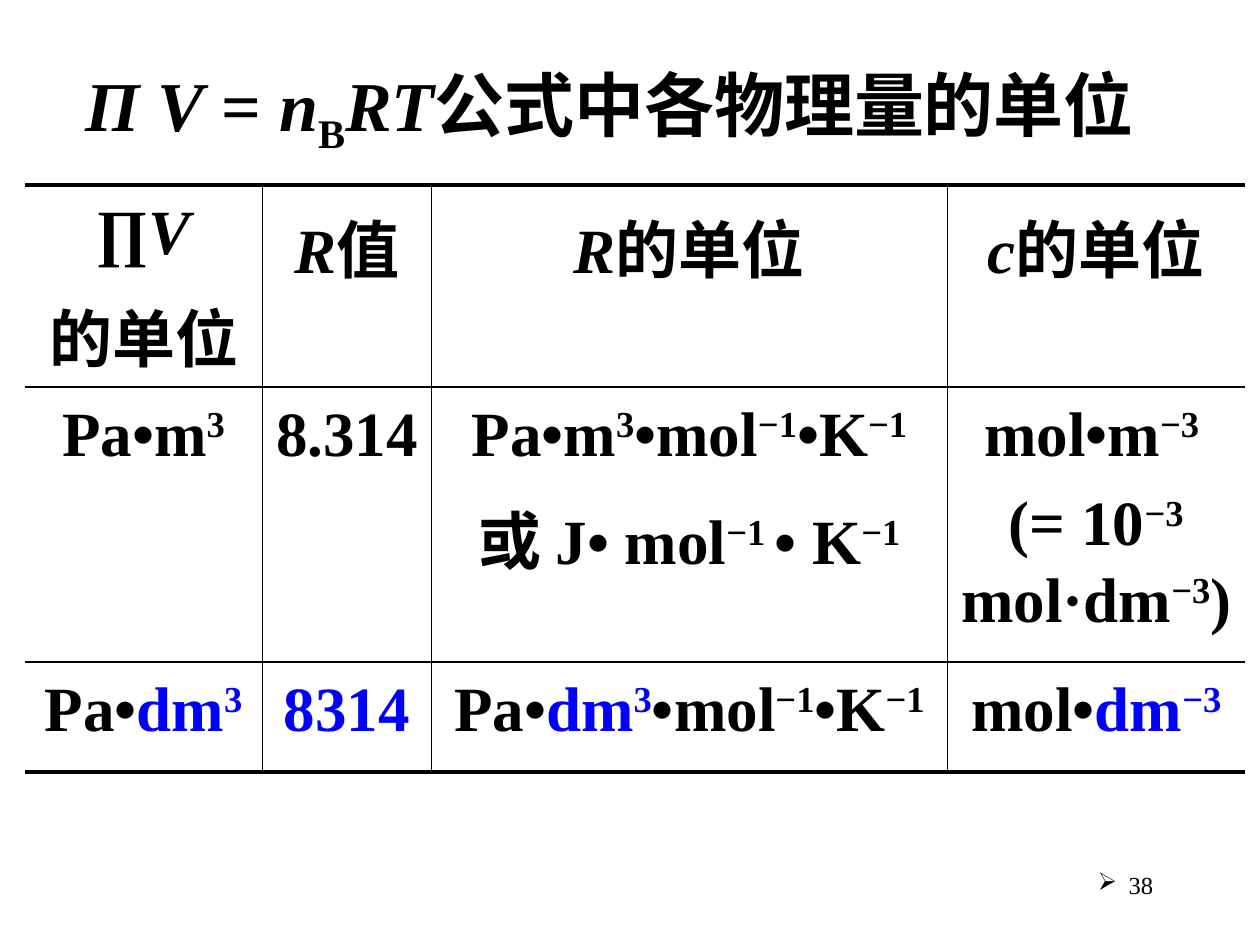
"""Build the slide on the units used in the osmotic pressure formula."""
import pptx
import pptx.dml.color
import pptx.enum.text
import pptx.oxml
import pptx.oxml.ns
import pptx.util

Pt = pptx.util.Pt
ALIGN = pptx.enum.text.PP_ALIGN
ANCHOR = pptx.enum.text.MSO_ANCHOR
FONT, BLACK, BLUE, WHITE = "Times New Roman", "000000", "0000FF", "FFFFFF"
BASELINES = {"^": "30000", "_": "-25000"}

# Run styles: i italic, ^ superscript, _ subscript, b blue
TITLE = [("Π V", "i"), (" = ", ""), ("n", "i"), ("B", "_"), ("RT", "i"),
         ("公式中各物理量的单位", "")]
PER_MOL_K = [("•mol", ""), ("−1", "^"), ("•K", ""), ("−1", "^")]
ROWS = [
    [
        [[("∏V", "i")], [("的单位", "")]],
        [[("R", "i"), ("值", "")]],
        [[("R", "i"), ("的单位", "")]],
        [[("c", "i"), ("的单位", "")]],
    ],
    [
        [[("Pa•m", ""), ("3", "^")]],
        [[("8.314", "")]],
        [[("Pa•m", ""), ("3", "^")] + PER_MOL_K,
         [("或 J• mol", ""), ("−1 ", "^"), ("• K", ""), ("−1", "^")]],
        [[("mol•m", ""), ("−3 ", "^")],
         [("(= 10", ""), ("−3", "^"), (" mol·dm", ""), ("−3", "^"), (")", "")]],
    ],
    [
        [[("Pa•", ""), ("dm", "b"), ("3", "b^")]],
        [[("8314", "b")]],
        [[("Pa•", ""), ("dm", "b"), ("3", "b^")] + PER_MOL_K],
        [[("mol•", ""), ("dm", "b"), ("−3", "b^")]],
    ],
]
COL_WIDTHS = [136, 96.5, 295, 170]
ROW_HEIGHTS = [109, 157, 63]


def rgb(value):
    return pptx.dml.color.RGBColor.from_string(value)


def write(p, runs, size, bold=True, align=ALIGN.CENTER):
    p.alignment = align
    p.font.name, p.font.size, p.font.bold = FONT, Pt(size), bold
    p.font.color.rgb = rgb(BLACK)
    for text, style in runs:
        r = p.add_run()
        r.text = text
        if "i" in style:
            r.font.italic = True
        if "b" in style:
            r.font.color.rgb = rgb(BLUE)
        for mark, baseline in BASELINES.items():
            if mark in style:
                r._r.get_or_add_rPr().set("baseline", baseline)


def element(xml):
    name, rest = xml.split(" ", 1)
    return pptx.oxml.parse_xml(f"<a:{name} {pptx.oxml.ns.nsdecls('a')} {rest}")


def set_borders(cell, widths):
    tc_pr = cell._tc.get_or_add_tcPr()
    for i, (side, width) in enumerate(zip("LRTB", widths)):
        fill = f'<a:solidFill><a:srgbClr val="{BLACK}"/></a:solidFill>' if width else "<a:noFill/>"
        tc_pr.insert(i, element(f'ln{side} w="{Pt(width)}">{fill}</a:ln{side}>'))


def add_title(slide):
    sp = slide.shapes.title
    sp.left, sp.top, sp.width, sp.height = Pt(19.5), Pt(34.5), Pt(658), Pt(55.5)
    tf = sp.text_frame
    tf.word_wrap = True
    tf.auto_size = pptx.enum.text.MSO_AUTO_SIZE.NONE
    tf.vertical_anchor = ANCHOR.MIDDLE
    write(tf.paragraphs[0], TITLE, 40)


def add_units_table(slide):
    last_row, last_col = len(ROWS) - 1, len(COL_WIDTHS) - 1
    table = slide.shapes.add_table(
        len(ROWS), len(COL_WIDTHS), Pt(14), Pt(105.75),
        Pt(sum(COL_WIDTHS)), Pt(sum(ROW_HEIGHTS))).table
    for column, width in zip(table.columns, COL_WIDTHS):
        column.width = Pt(width)
    for i, (row, height) in enumerate(zip(ROWS, ROW_HEIGHTS)):
        table.rows[i].height = Pt(height)
        for j, paragraphs in enumerate(row):
            cell = table.cell(i, j)
            cell.fill.solid()
            cell.fill.fore_color.rgb = rgb(WHITE)
            set_borders(cell, (1 if j else 0, 1 if j < last_col else 0,
                               1 if i else 2.25, 1 if i < last_row else 2.25))
            tf = cell.text_frame
            for k, runs in enumerate(paragraphs):
                p = tf.add_paragraph() if k else tf.paragraphs[0]
                p.line_spacing = 1.1
                p._p.get_or_add_pPr().insert(
                    1, element('spcBef ><a:spcPct val="20000"/></a:spcBef>'))
                write(p, runs, 36)


def add_page_number(slide):
    sp = slide.shapes.add_textbox(Pt(516), Pt(493.75), Pt(150), Pt(36))
    tf = sp.text_frame
    tf.word_wrap = True
    p = tf.paragraphs[0]
    write(p, [("38", "")], 14, bold=False, align=ALIGN.RIGHT)
    p_pr = p._p.get_or_add_pPr()
    p_pr.set("marL", str(Pt(17.5)))
    p_pr.set("indent", str(Pt(-17.5)))
    p_pr.insert(0, element('buFont typeface="Wingdings" charset="2"/>'))
    p_pr.insert(1, element('buChar char="Ø"/>'))


def main():
    prs = pptx.Presentation()
    prs.slide_width, prs.slide_height = Pt(720), Pt(540)
    slide = prs.slides.add_slide(prs.slide_layouts[5])
    add_title(slide)
    add_units_table(slide)
    add_page_number(slide)
    prs.save("out.pptx")


if __name__ == "__main__":
    main()
